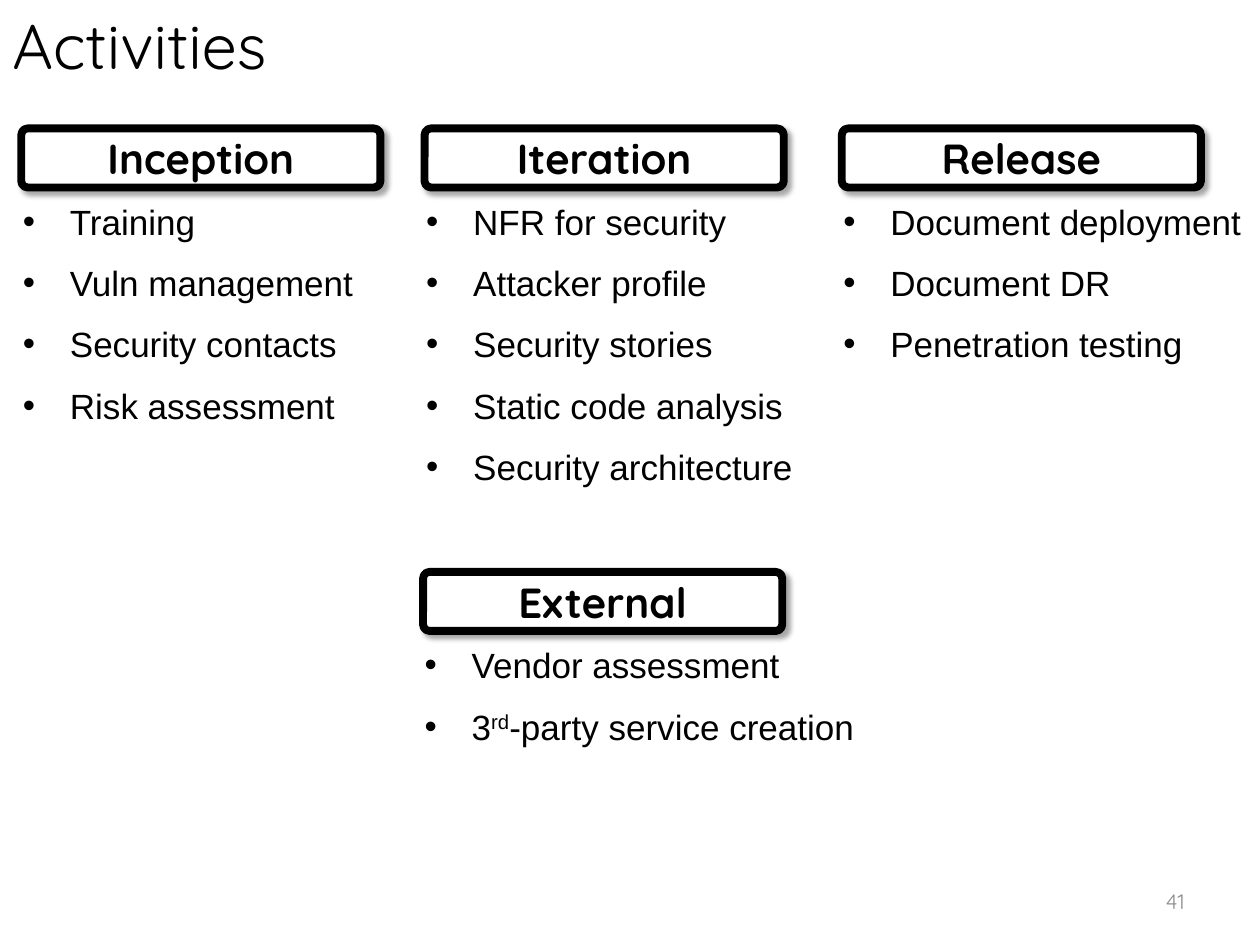
from lxml import etree
from pptx import Presentation
from pptx import util as u
from pptx.dml.color import RGBColor
from pptx.enum import shapes, text
from pptx.oxml.ns import qn

BLACK = RGBColor(0x00, 0x00, 0x00)
WHITE = RGBColor(0xFF, 0xFF, 0xFF)
GREY = RGBColor(0x8C, 0x8C, 0x8C)

HEADING_FONT = "Quicksand"
LIST_FONT = "Arial"

HEADER_WIDTH, HEADER_HEIGHT = 7.24, 1.19
LIST_DROP = 1.38
TOP_ROW, BOTTOM_ROW = 2.59, 11.53

# heading, left, top, list width, list height, activities as runs
PHASES = [
    ("Inception", 0.43, TOP_ROW, 7.32, 6.65,
     [["Training"], ["Vuln management"], ["Security contacts"],
      ["Risk assessment"]]),
    ("Iteration", 8.56, TOP_ROW, 7.72, 5.69,
     [["NFR for security"], ["Attacker profile"], ["Security stories"],
      ["Static code analysis"], ["Security architecture"]]),
    ("Release", 16.97, TOP_ROW, 8.41, 3.28,
     [["Document deployment"], ["Document DR"], ["Penetration testing"]]),
    ("External", 8.53, BOTTOM_ROW, 9.55, 3.02,
     [["Vendor assessment"], ["3", "rd", "-party service creation"]]),
]
SUPERSCRIPTS = {"rd"}


class ActivitySlide:
    def __init__(self, slide):
        self.slide = slide

    def add_run(self, paragraph, words, font, size, color=BLACK, bold=False):
        run = paragraph.add_run()
        run.text = words
        run.font.name = font
        run.font.size = u.Pt(size)
        run.font.bold = bold
        run.font.color.rgb = color
        return run

    def add_frame(self, left, top, width, height):
        box = self.slide.shapes.add_textbox(
            u.Cm(left), u.Cm(top), u.Cm(width), u.Cm(height))
        box.text_frame.word_wrap = True
        return box.text_frame

    def add_title(self, words):
        frame = self.add_frame(0, 0, 17.6, 1.8)
        frame.auto_size = text.MSO_AUTO_SIZE.SHAPE_TO_FIT_TEXT
        self.add_run(frame.paragraphs[0], words, HEADING_FONT, 36)

    def add_page_number(self, number):
        frame = self.add_frame(18.21, 17.65, 5.92, 1.02)
        frame.vertical_anchor = text.MSO_ANCHOR.MIDDLE
        frame.paragraphs[0].alignment = text.PP_ALIGN.RIGHT
        self.add_run(frame.paragraphs[0], number, HEADING_FONT, 12, GREY)

    def add_header(self, words, left, top):
        header = self.slide.shapes.add_shape(
            shapes.MSO_SHAPE.ROUNDED_RECTANGLE, u.Cm(left), u.Cm(top),
            u.Cm(HEADER_WIDTH), u.Cm(HEADER_HEIGHT))
        header.adjustments[0] = 0.11
        header.fill.solid()
        header.fill.fore_color.rgb = WHITE
        header.line.color.rgb = BLACK
        header.line.width = u.Pt(4.5)
        self.add_soft_shadow(header)
        frame = header.text_frame
        frame.vertical_anchor = text.MSO_ANCHOR.MIDDLE
        frame.paragraphs[0].alignment = text.PP_ALIGN.CENTER
        self.add_run(frame.paragraphs[0], words, HEADING_FONT, 24, bold=True)

    def add_soft_shadow(self, shape):
        """Give the shape a blurred black shadow down and to the right."""
        shape.shadow.inherit = False
        effects = shape.element.spPr.find(qn("a:effectLst"))
        shadow = etree.SubElement(
            effects, qn("a:outerShdw"), blurRad=str(u.Pt(3.1)),
            dist=str(u.Pt(3)), dir="2700000", algn="tl", rotWithShape="0")
        color = etree.SubElement(shadow, qn("a:srgbClr"), val=str(BLACK))
        etree.SubElement(color, qn("a:alpha"), val="35000")

    def add_bullet(self, paragraph):
        properties = paragraph._p.get_or_add_pPr()
        properties.set("marL", str(u.Cm(0.95)))
        properties.set("indent", str(u.Cm(-0.95)))
        etree.SubElement(properties, qn("a:buFont"), typeface=LIST_FONT)
        etree.SubElement(properties, qn("a:buChar"), char="•")

    def add_activities(self, activities, left, top, width, height):
        frame = self.add_frame(left, top, width, height)
        frame.auto_size = text.MSO_AUTO_SIZE.SHAPE_TO_FIT_TEXT
        frame.margin_left = frame.margin_right = frame.margin_bottom = 0
        frame.margin_top = u.Cm(0.07)
        for index, activity in enumerate(activities):
            paragraph = frame.add_paragraph() if index else frame.paragraphs[0]
            self.add_bullet(paragraph)
            if index:
                paragraph.space_before = u.Pt(11)
            for words in activity:
                run = self.add_run(paragraph, words, LIST_FONT, 20)
                if words in SUPERSCRIPTS:
                    run.font._element.set("baseline", "30000")


def main():
    deck = Presentation()
    deck.slide_width, deck.slide_height = u.Cm(25.4), u.Cm(19.05)
    page = ActivitySlide(deck.slides.add_slide(deck.slide_layouts[6]))
    page.add_page_number("41")
    page.add_title("Activities")
    for heading, left, top, width, height, activities in PHASES:
        page.add_header(heading, left, top)
        page.add_activities(
            activities, left + 0.03, top + LIST_DROP, width, height)
    deck.save("out.pptx")


if __name__ == "__main__":
    main()
